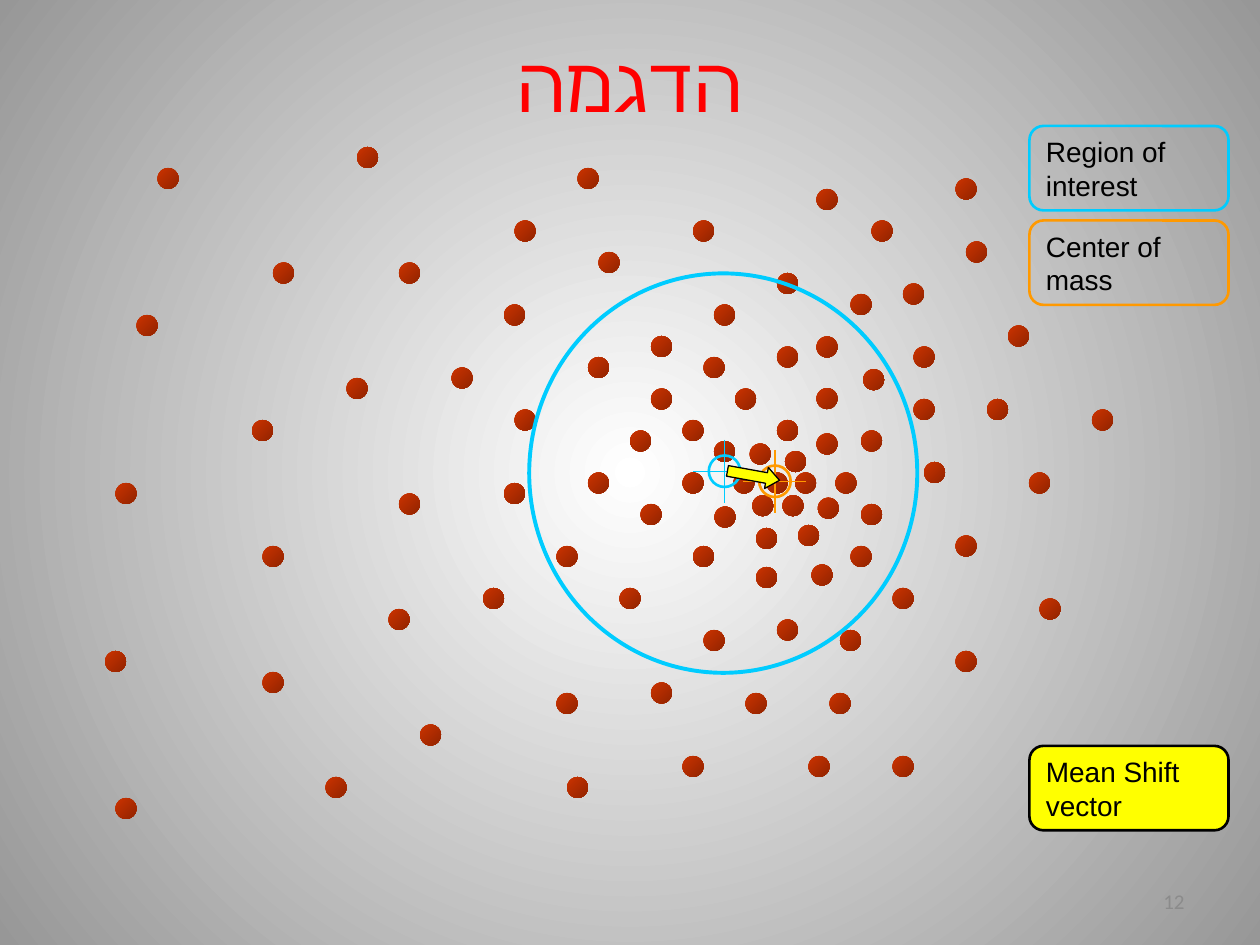
from pptx import Presentation
from pptx.dml.color import RGBColor
from pptx.enum.shapes import MSO_CONNECTOR, MSO_SHAPE
from pptx.enum.text import MSO_ANCHOR, PP_ALIGN
from pptx.oxml import parse_xml
from pptx.oxml.ns import nsdecls, qn
from pptx.util import Inches, Pt
from lxml.etree import SubElement
from dataclasses import dataclass


@dataclass(frozen=True)
class Theme:
    region: str = "00CCFF"
    mass: str = "FF9900"
    vector: str = "FFFF00"
    ink: str = "000000"
    title: str = "FF0000"
    number: str = "8B8B8B"
    backdrop: tuple = ("FFFFFF", "979797")
    sample: tuple = ("CC3300", "922400")
    heading_font: str = "Calibri"
    label_font: str = "Arial"
    title_size: int = 44
    label_size: int = 16
    number_size: int = 12
    heavy_line: float = 2.25
    medium_line: float = 1.5
    thin_line: float = 0.75


THEME = Theme()
TITLE = "הדגמה"
SLIDE_NUMBER = 12

LABELS = [
    (("Region of", "interest"), 1.0, None, THEME.region),
    (("Center of", "mass"), 1.75, None, THEME.mass),
    (("Mean Shift", "vector"), 5.92, THEME.vector, THEME.ink),
]
LABEL_LEFT, LABEL_WIDTH, LABEL_HEIGHT = 8.17, 1.58, 0.67

REGION_CENTER, MASS_CENTER = (5.75, 3.74), (6.15, 3.82)
REGION_BOX = (4.2, 2.17, 3.08, 3.17)
VECTOR_BOX, VECTOR_TURN = (5.77, 3.69, 0.42, 0.17), 10.3
RING_RADIUS, CROSS_REACH = 0.125, 0.25

GRID_STEP = 1 / 12
SAMPLE_SIZE = 2 * GRID_STEP
GRID_SAMPLES = {
    14: (34,), 16: (15, 55), 17: (91,), 21: (49, 66, 83), 23: (92,), 24: (57,),
    25: (26, 38), 26: (74,), 27: (86,), 28: (81,), 29: (48, 68), 30: (13,),
    31: (96,), 32: (62,), 33: (74, 87), 34: (56, 67), 35: (43,), 36: (33,),
    37: (62, 70), 38: (87, 94), 39: (49, 104), 40: (24, 65, 74), 41: (60, 82),
    42: (68,), 44: (88,), 45: (56, 65, 73, 98), 46: (11, 48), 47: (38,),
    48: (61, 82), 50: (76,), 51: (91,), 52: (25, 53, 66, 81), 54: (72,),
    56: (46, 59, 85), 57: (99,), 58: (37,), 59: (74,), 60: (67, 80),
    62: (10, 91), 64: (25,), 65: (62,), 66: (53, 71, 79), 69: (40,),
    72: (65, 77, 85), 74: (31, 54), 76: (11,),
}
OFF_GRID_SAMPLES = {
    1.5: (6.48,), 2.67: (6.48,), 2.93: (6.85,), 3.08: (6.48,), 3.44: (6.48,),
    3.52: (5.95,), 3.58: (6.23,), 3.75: (5.82, 6.31, 6.63), 3.93: (5.97, 6.21),
    3.95: (6.49,), 4.02: (5.67,), 4.19: (6,), 4.48: (6.44,),
}


def color(code):
    return RGBColor.from_string(code)


def blend(fill, codes):
    fill.gradient()
    for stop, code in zip(fill.gradient_stops, codes):
        stop.color.rgb = color(code)


def write(frame, lines, *, size, font, ink, align=PP_ALIGN.LEFT, wrap=True):
    frame.word_wrap = wrap
    frame.vertical_anchor = MSO_ANCHOR.MIDDLE
    frame.text = "\n".join(lines)
    for paragraph in frame.paragraphs:
        paragraph.alignment = align
        for run in paragraph.runs:
            run.font.size = Pt(size)
            run.font.name = font
            run.font.color.rgb = color(ink)


def draw(shapes, kind, box, *, fill=None, line=None, width=THEME.medium_line):
    shape = shapes.add_shape(kind, *map(Inches, box))
    shape.shadow.inherit = False
    if isinstance(fill, tuple):
        blend(shape.fill, fill)
        shape.fill.gradient_angle = 315
    elif fill:
        shape.fill.solid()
        shape.fill.fore_color.rgb = color(fill)
    else:
        shape.fill.background()
    if line:
        shape.line.color.rgb = color(line)
        shape.line.width = Pt(width)
    else:
        shape.line.fill.background()
    return shape


def draw_samples(shapes, rows, step):
    for row, columns in rows.items():
        for column in columns:
            box = (column * step, row * step, SAMPLE_SIZE, SAMPLE_SIZE)
            draw(shapes, MSO_SHAPE.OVAL, box, fill=THEME.sample)


def draw_target(shapes, center, line):
    x, y = center
    ring = (x - RING_RADIUS, y - RING_RADIUS, 2 * RING_RADIUS, 2 * RING_RADIUS)
    draw(shapes, MSO_SHAPE.OVAL, ring, line=line)
    for dx, dy in ((0, CROSS_REACH), (CROSS_REACH, 0)):
        ends = (x - dx, y - dy, x + dx, y + dy)
        hair = shapes.add_connector(MSO_CONNECTOR.STRAIGHT, *map(Inches, ends))
        hair.line.color.rgb = color(line)
        hair.line.width = Pt(THEME.thin_line)
        SubElement(hair.element.spPr, qn("a:effectLst"))


def draw_label(shapes, lines, top, fill, line):
    box = (LABEL_LEFT, top, LABEL_WIDTH, LABEL_HEIGHT)
    label = draw(shapes, MSO_SHAPE.ROUNDED_RECTANGLE, box, fill=fill, line=line)
    write(label.text_frame, lines, size=THEME.label_size, font=THEME.label_font,
          ink=THEME.ink, wrap=False)


def draw_vector(shapes):
    vector = draw(shapes, MSO_SHAPE.RIGHT_ARROW, VECTOR_BOX, fill=THEME.vector,
                  line=THEME.ink, width=THEME.thin_line)
    vector.adjustments[1] = 0.62
    vector.rotation = VECTOR_TURN


def paint_backdrop(slide):
    blend(slide.background.fill, THEME.backdrop)
    gradient = slide.element.find(".//" + qn("a:gradFill"))
    gradient.replace(gradient.find(qn("a:lin")), parse_xml(
        f'<a:path {nsdecls("a")} path="circle">'
        '<a:fillToRect l="50000" t="50000" r="50000" b="50000"/></a:path>'))


def add_title(title):
    title.left, title.top, title.width, title.height = map(Inches, (0.5, 0.05, 9, 1.19))
    write(title.text_frame, [TITLE], size=THEME.title_size, font=THEME.heading_font,
          ink=THEME.title, align=PP_ALIGN.CENTER)


def add_number(shapes):
    number = shapes.add_textbox(*map(Inches, (7.17, 6.95, 2.33, 0.4)))
    write(number.text_frame, [str(SLIDE_NUMBER)], size=THEME.number_size,
          font=THEME.heading_font, ink=THEME.number, align=PP_ALIGN.RIGHT)
    run = number.element.find(".//" + qn("a:r"))
    field = parse_xml(f'<a:fld {nsdecls("a")} type="slidenum" '
                      'id="{B6F15528-21DE-4FAA-801E-634DDDAF4B2B}"/>')
    field.extend(list(run))
    run.getparent().replace(run, field)


def main():
    deck = Presentation()
    deck.slide_width, deck.slide_height = Inches(10), Inches(7.5)
    deck.element.set("firstSlideNum", str(SLIDE_NUMBER))
    slide = deck.slides.add_slide(deck.slide_layouts.get_by_name("Title Only"))
    shapes = slide.shapes

    paint_backdrop(slide)
    draw_samples(shapes, GRID_SAMPLES, GRID_STEP)
    draw_samples(shapes, OFF_GRID_SAMPLES, 1)

    region = shapes.add_group_shape().shapes
    draw(region, MSO_SHAPE.OVAL, REGION_BOX, line=THEME.region, width=THEME.heavy_line)
    draw_target(region, REGION_CENTER, THEME.region)
    for label in LABELS:
        draw_label(shapes, *label)
    draw_target(shapes.add_group_shape().shapes, MASS_CENTER, THEME.mass)
    draw_vector(shapes)

    add_title(shapes.title)
    add_number(shapes)
    deck.save("out.pptx")


if __name__ == "__main__":
    main()
